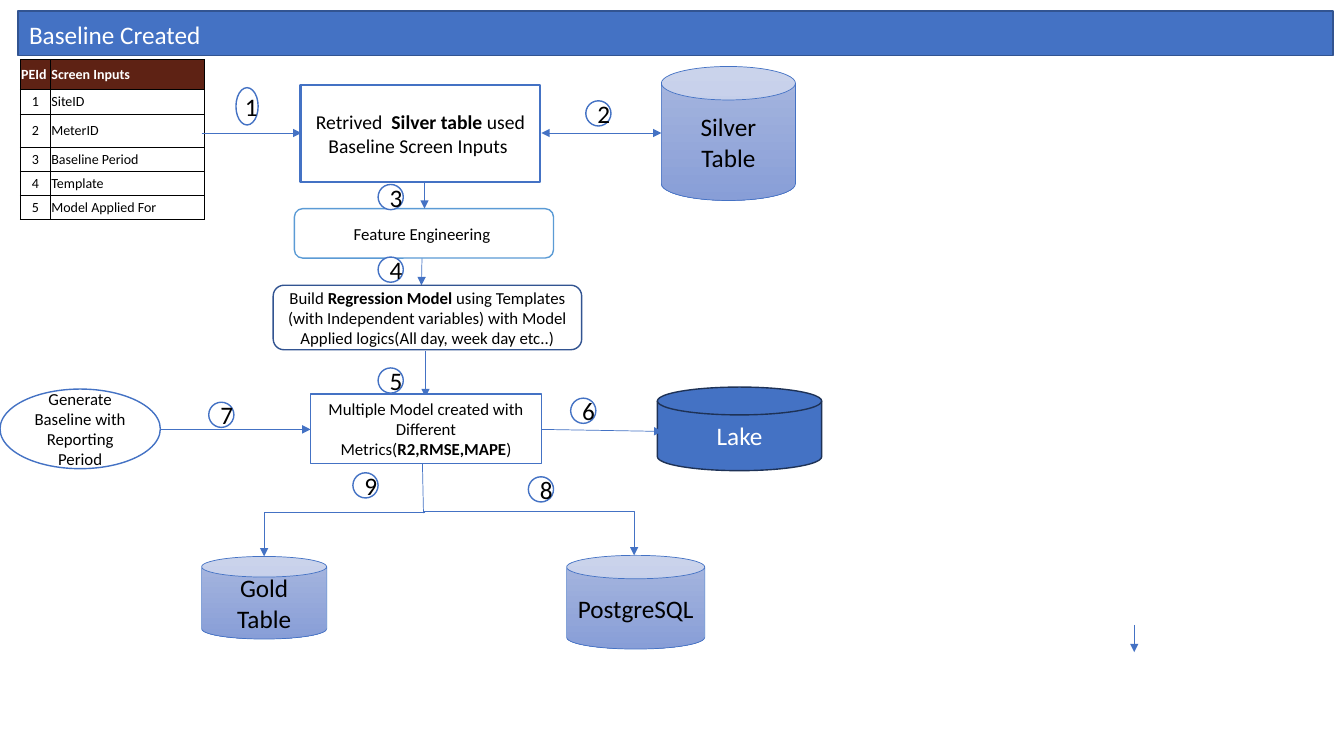
import dataclasses

import lxml.etree
import pptx
import pptx.dml.color
import pptx.enum.shapes
import pptx.enum.text
import pptx.oxml.ns
import pptx.util

PX = 9144  # EMU in one px, 100 px to the inch
SHAPES = pptx.enum.shapes.MSO_SHAPE
CENTER = pptx.enum.text.PP_ALIGN.CENTER
MIDDLE = pptx.enum.text.MSO_ANCHOR.MIDDLE


@dataclasses.dataclass(frozen=True)
class Theme:
    font: str = "Calibri"
    blue: str = "4472C4"
    light_blue: str = "5B9BD5"
    dark_blue: str = "325491"
    navy: str = "1E3256"
    can_top: str = "A8B7DF"
    can_bottom: str = "889ED7"
    brown: str = "5E2214"
    white: str = "FFFFFF"
    black: str = "000000"
    large: int = 18
    medium: int = 14
    small: int = 12
    tiny: int = 10


THEME = Theme()


def px(*lengths):
    return [pptx.util.Emu(length * PX) for length in lengths]


def rgb(value):
    return pptx.dml.color.RGBColor.from_string(value)


def add_child(parent, tag, **attributes):
    child = lxml.etree.SubElement(parent, pptx.oxml.ns.qn(tag))
    for name, value in attributes.items():
        child.set(name, str(value))
    return child


def write_text(text_frame, pieces, size, color, align=None, bold=False):
    """Fill the first paragraph; every second piece is bold."""
    paragraph = text_frame.paragraphs[0]
    if align is not None:
        paragraph.alignment = align
    for index, piece in enumerate(pieces):
        run = paragraph.add_run()
        run.text = piece
        run.font.name = THEME.font
        run.font.size = pptx.util.Pt(size)
        run.font.bold = bold or index % 2 == 1
        run.font.color.rgb = rgb(color)


def add_box(slide, kind, box, pieces=(), size=THEME.small, fill=THEME.white,
            line=THEME.blue, width=1, color=THEME.black):
    shape = slide.shapes.add_shape(kind, *px(*box))
    shape.shadow.inherit = False
    shape.fill.solid()
    shape.fill.fore_color.rgb = rgb(fill)
    shape.line.color.rgb = rgb(line)
    shape.line.width = pptx.util.Pt(width)
    shape.text_frame.word_wrap = True
    shape.text_frame.vertical_anchor = MIDDLE
    write_text(shape.text_frame, pieces, size, color, CENTER)
    return shape


def add_can(slide, box, label):
    shape = add_box(slide, SHAPES.CAN, box, [label], THEME.large, width=0.5)
    shape.fill.gradient()
    shape.fill.gradient_angle = 270
    colors = (THEME.can_top, THEME.can_bottom)
    for position, (stop, color) in enumerate(zip(shape.fill.gradient_stops, colors)):
        stop.position = position
        stop.color.rgb = rgb(color)


def add_arrow(slide, ends, head=False, tail=True, bent=False):
    types = pptx.enum.shapes.MSO_CONNECTOR
    kind = types.ELBOW if bent else types.STRAIGHT
    connector = slide.shapes.add_connector(kind, *px(*ends))
    connector.line.color.rgb = rgb(THEME.blue)
    connector.line.width = pptx.util.Pt(0.5)
    properties = connector._element.spPr
    if bent:
        properties.find(pptx.oxml.ns.qn("a:prstGeom")).set("prst", "bentConnector2")
    outline = properties.find(pptx.oxml.ns.qn("a:ln"))
    if head:
        add_child(outline, "a:headEnd", type="triangle")
    if tail:
        add_child(outline, "a:tailEnd", type="triangle")
    add_child(properties, "a:effectLst")


def add_cell_borders(cell):
    properties = cell._tc.get_or_add_tcPr()
    for side in ("L", "R", "T", "B"):
        border = add_child(properties, f"a:ln{side}", w=pptx.util.Pt(0.5))
        add_child(add_child(border, "a:solidFill"), "a:srgbClr", val=THEME.black)


def add_inputs_table(slide):
    names = ["Screen Inputs", "SiteID", "MeterID", "Baseline Period",
             "Template", "Model Applied For"]
    heights = [30, 24, 33, 24, 24, 24]
    widths = [30, 153]
    frame = slide.shapes.add_table(len(names), 2, *px(20, 59, sum(widths), sum(heights)))
    table = frame.table
    table.first_row = table.horz_banding = False
    for column, width in zip(table.columns, px(*widths)):
        column.width = width
    for number, (name, height) in enumerate(zip(names, px(*heights))):
        table.rows[number].height = height
        header = number == 0
        for column, text in enumerate((str(number) if number else "PEId", name)):
            cell = table.cell(number, column)
            cell.vertical_anchor = MIDDLE
            cell.margin_left, cell.margin_top, cell.margin_right, cell.margin_bottom = px(1, 0, 1, 0)
            add_cell_borders(cell)
            if header:
                cell.fill.solid()
                cell.fill.fore_color.rgb = rgb(THEME.brown)
            else:
                cell.fill.background()
            write_text(cell.text_frame, [text], THEME.tiny,
                       THEME.white if header else THEME.black,
                       None if header or column else CENTER, bold=header)


def add_title(slide):
    add_box(slide, SHAPES.RECTANGLE, (18, 11, 1304, 44), fill=THEME.blue, line=THEME.dark_blue)
    title = slide.shapes.add_textbox(*px(19, 14, 757, 40))
    title.text_frame.word_wrap = True
    title.text_frame.auto_size = pptx.enum.text.MSO_AUTO_SIZE.SHAPE_TO_FIT_TEXT
    write_text(title.text_frame, ["Baseline Created"], THEME.large, THEME.white)


def main():
    presentation = pptx.Presentation()
    presentation.slide_width, presentation.slide_height = px(1333, 750)
    slide = presentation.slides.add_slide(presentation.slide_layouts[6])

    add_title(slide)
    add_inputs_table(slide)

    # Arrows partly covered by the steps
    add_arrow(slide, (419, 234, 418, 283))
    add_arrow(slide, (422, 348, 422, 394))

    # Process steps
    add_box(slide, SHAPES.RECTANGLE, (298, 84, 238, 97),
            ["Retrived  ", "Silver table", " used Baseline Screen Inputs "],
            THEME.medium, width=1.5)
    add_box(slide, SHAPES.FLOWCHART_ALTERNATE_PROCESS, (292, 207, 257, 49),
            ["Feature Engineering "], line=THEME.light_blue)
    add_box(slide, SHAPES.ROUNDED_RECTANGLE, (271, 283, 306, 64),
            ["Build ", "Regression Model ", "using Templates (with Independent variables) "
             "with Model Applied logics(All day, week day etc..)"], line=THEME.dark_blue)
    add_box(slide, SHAPES.OVAL, (0, 386, 159, 79), ["Generate Baseline with Reporting Period"])
    add_box(slide, SHAPES.FLOWCHART_PROCESS, (308, 391, 229, 69),
            ["Multiple Model created with Different Metrics(", "R2,RMSE,MAPE", ")"])

    # Data stores
    add_can(slide, (656, 66, 133, 133), "Silver Table")
    add_can(slide, (562, 551, 137, 93), "PostgreSQL")
    add_can(slide, (200, 552, 124, 82), "Gold Table")
    add_box(slide, SHAPES.FLOWCHART_MAGNETIC_DISK, (652, 384, 163, 83), ["Lake"],
            THEME.large, fill=THEME.blue, line=THEME.navy, color=THEME.white)

    # Flow arrows
    for ends in ((200, 132, 299, 132), (421, 180, 421, 207), (537, 426, 657, 428),
                 (159, 426, 308, 426), (1125, 620, 1125, 647)):
        add_arrow(slide, ends)
    add_arrow(slide, (537, 132, 656, 132), head=True)
    add_arrow(slide, (419, 460, 420, 509), tail=False)
    add_arrow(slide, (421, 507, 629, 551), bent=True)
    add_arrow(slide, (422, 508, 262, 552), bent=True)

    # Step numbers
    add_box(slide, SHAPES.OVAL, (234, 87, 22, 37), ["1"], THEME.large)
    places = [(581, 100), (375, 183), (375, 255), (375, 365),
              (566, 395), (207, 399), (524, 473), (350, 469)]
    for number, (left, top) in enumerate(places, start=2):
        add_box(slide, SHAPES.OVAL, (left, top, 25, 25), [str(number)], THEME.large)

    presentation.save("out.pptx")


if __name__ == "__main__":
    main()
